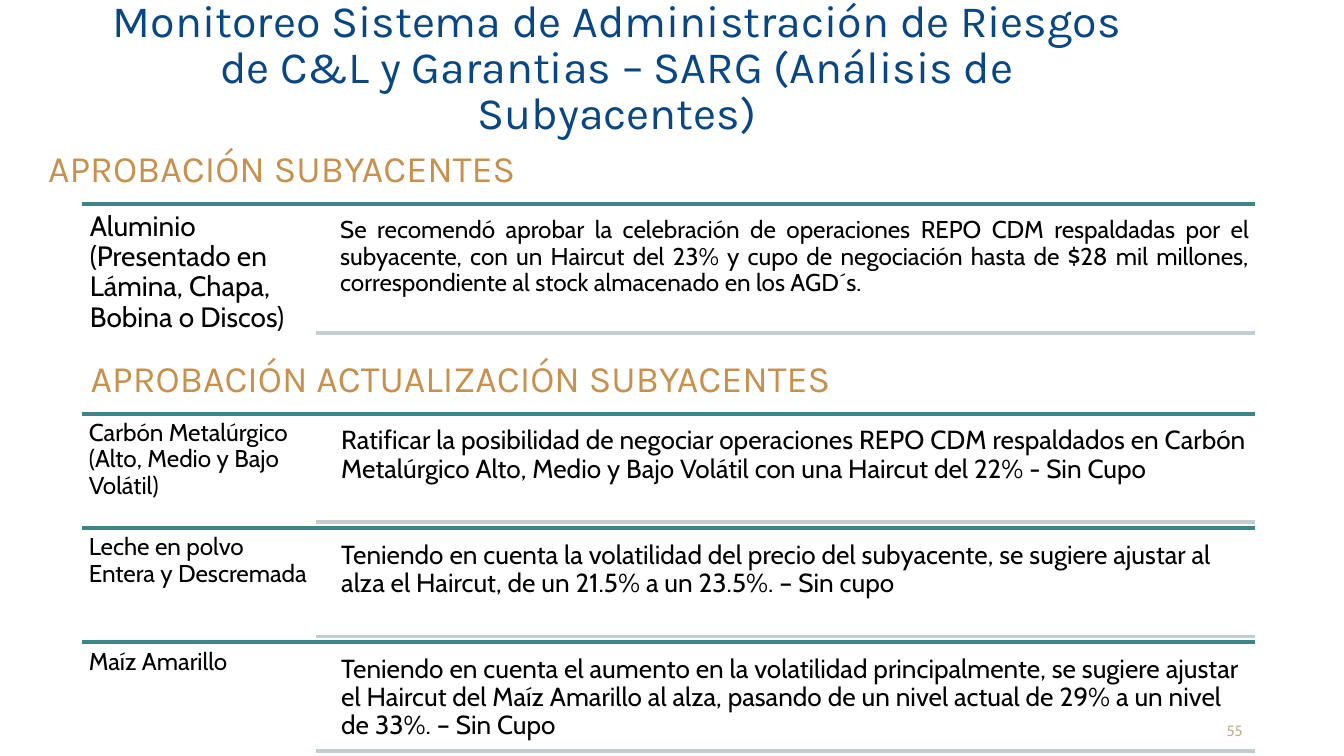
from pptx import Presentation
from pptx.dml.color import RGBColor
from pptx.enum import shapes, text
from pptx.oxml.ns import qn
from pptx.util import Cm, Pt
from lxml import etree

TITLE = ("Monitoreo Sistema de Administración de Riesgos de C&L y Garantias "
         "– SARG (Análisis de Subyacentes)")
PAGE_NUMBER = "55"
ALIGN, ANCHOR = text.PP_ALIGN, text.MSO_ANCHOR

# Heading, its left edge and top in cm, and its alignment
HEADINGS = [
    ("APROBACIÓN SUBYACENTES", 0.91, 2.57, ALIGN.LEFT),
    ("APROBACIÓN ACTUALIZACIÓN SUBYACENTES ", -0.69, 6.55, ALIGN.CENTER),
]
# Each section: top and row height in cm, text formats, rows of (asset, decision)
SECTIONS = [
    dict(top=3.86, height=2.57,
         asset=dict(size=15, inset=0.15),
         decision=dict(size=13, inset=0.13, align=ALIGN.JUSTIFY),
         rows=[("Aluminio (Presentado en Lámina, Chapa, Bobina o Discos)",
                "Se recomendó aprobar la celebración de operaciones REPO CDM "
                "respaldadas por el subyacente, con un Haircut del 23% y cupo de "
                "negociación hasta de $28 mil millones, correspondiente al stock "
                "almacenado en los AGD´s. ")]),
    dict(top=7.82, height=2.16,
         asset=dict(size=13, inset=0.13),
         decision=dict(size=14, inset=0.15),
         rows=[("Carbón Metalúrgico (Alto, Medio y Bajo Volátil)",
                "Ratificar la posibilidad de negociar operaciones REPO CDM "
                "respaldados en Carbón Metalúrgico Alto, Medio y Bajo Volátil "
                "con una Haircut del 22% - Sin Cupo"),
               ("Leche en polvo Entera y Descremada",
                "Teniendo en cuenta la volatilidad del precio del subyacente, se "
                "sugiere ajustar al alza el Haircut, de un 21.5% a un 23.5%. "
                "– Sin cupo"),
               ("Maíz Amarillo",
                "Teniendo en cuenta el aumento en la volatilidad principalmente, "
                "se sugiere ajustar el Haircut del Maíz Amarillo al alza, pasando "
                "de un nivel actual de 29% a un nivel de 33%. – Sin Cupo")]),
]
LEFT, RIGHT = 1.55, 23.72
ASSET_WIDTH = 4.44
RULE_LEFT, DECISION_LEFT = 5.97, 6.3
TEAL, PALE = "3C8689", "C0CECF"

deck = Presentation()
deck.slide_width, deck.slide_height = Cm(25.4), Cm(14.29)
page = deck.slides.add_slide(deck.slide_layouts[5])


def color(code):
    return RGBColor.from_string(code)


def write(words, left, top, width, height, *, box=None, size=13, font="Cabin",
          ink="000000", align=ALIGN.LEFT, anchor=ANCHOR.TOP, inset=0,
          spacing=0.9):
    """Put one formatted paragraph in the given box, or in a new text box."""
    place = [Cm(value) for value in (left, top, width, height)]
    box = box or page.shapes.add_textbox(*place)
    box.left, box.top, box.width, box.height = place
    frame = box.text_frame
    frame.word_wrap = True
    frame.auto_size = text.MSO_AUTO_SIZE.NONE
    frame.vertical_anchor = anchor
    frame.margin_left = frame.margin_right = Cm(inset)
    frame.margin_top = frame.margin_bottom = Cm(inset)
    para = frame.paragraphs[0]
    para.alignment, para.line_spacing = align, spacing
    para.space_before = Pt(0)
    span = para.add_run()
    span.text = words
    span.font.size, span.font.name = Pt(size), font
    span.font.color.rgb = color(ink)


def draw_rule(left, top, ink):
    rule = page.shapes.add_connector(shapes.MSO_CONNECTOR.STRAIGHT,
                                     Cm(left), Cm(top), Cm(RIGHT), Cm(top))
    rule.line.color.rgb, rule.line.width = color(ink), Pt(2)
    etree.SubElement(rule._element.spPr, qn("a:effectLst"))


write(TITLE, 2.11, 0.33, 19.1, 1.98, box=page.shapes.title, size=24,
      font="Karla", ink="094784", align=ALIGN.CENTER, anchor=ANCHOR.MIDDLE,
      spacing=0.85)

for words, left, top, align in HEADINGS:
    write(words, left, top, 18.97, 1.04, size=20, font="Karla", ink="C8904D",
          align=align, spacing=1.2)

for section in SECTIONS:
    height = section["height"]
    for index, (asset, decision) in enumerate(section["rows"]):
        top = section["top"] + index * height
        draw_rule(LEFT, top, TEAL)
        write(asset, LEFT, top, ASSET_WIDTH, height, **section["asset"])
        write(decision, DECISION_LEFT, top + 0.05 * height,
              RIGHT - DECISION_LEFT, 0.9 * height, **section["decision"])
        draw_rule(RULE_LEFT, top + 0.95 * height, PALE)

write(PAGE_NUMBER, 22.68, 13.64, 0.81, 0.33, size=8, ink="BCB296",
      align=ALIGN.RIGHT, anchor=ANCHOR.BOTTOM, spacing=1.0)

deck.save("out.pptx")
